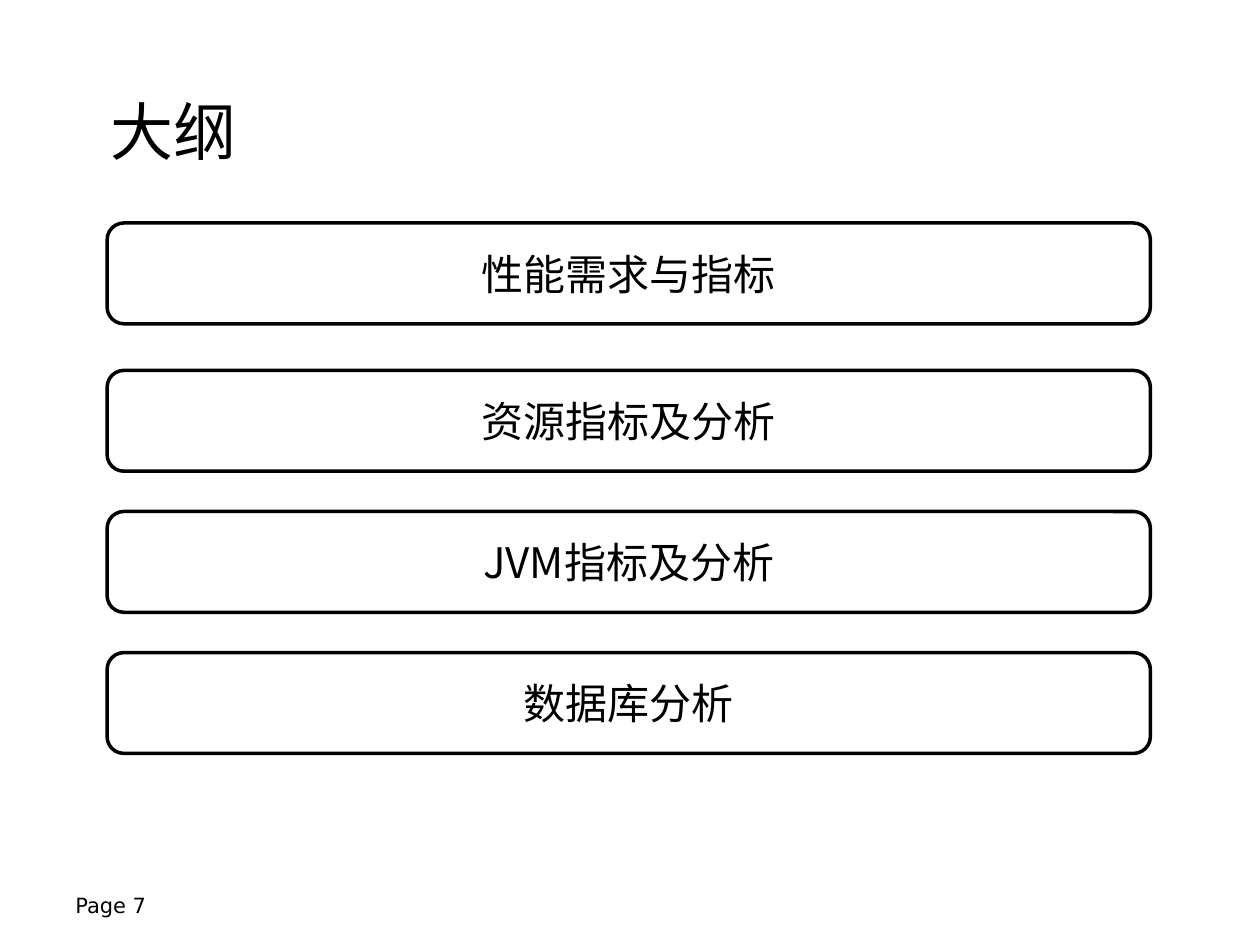
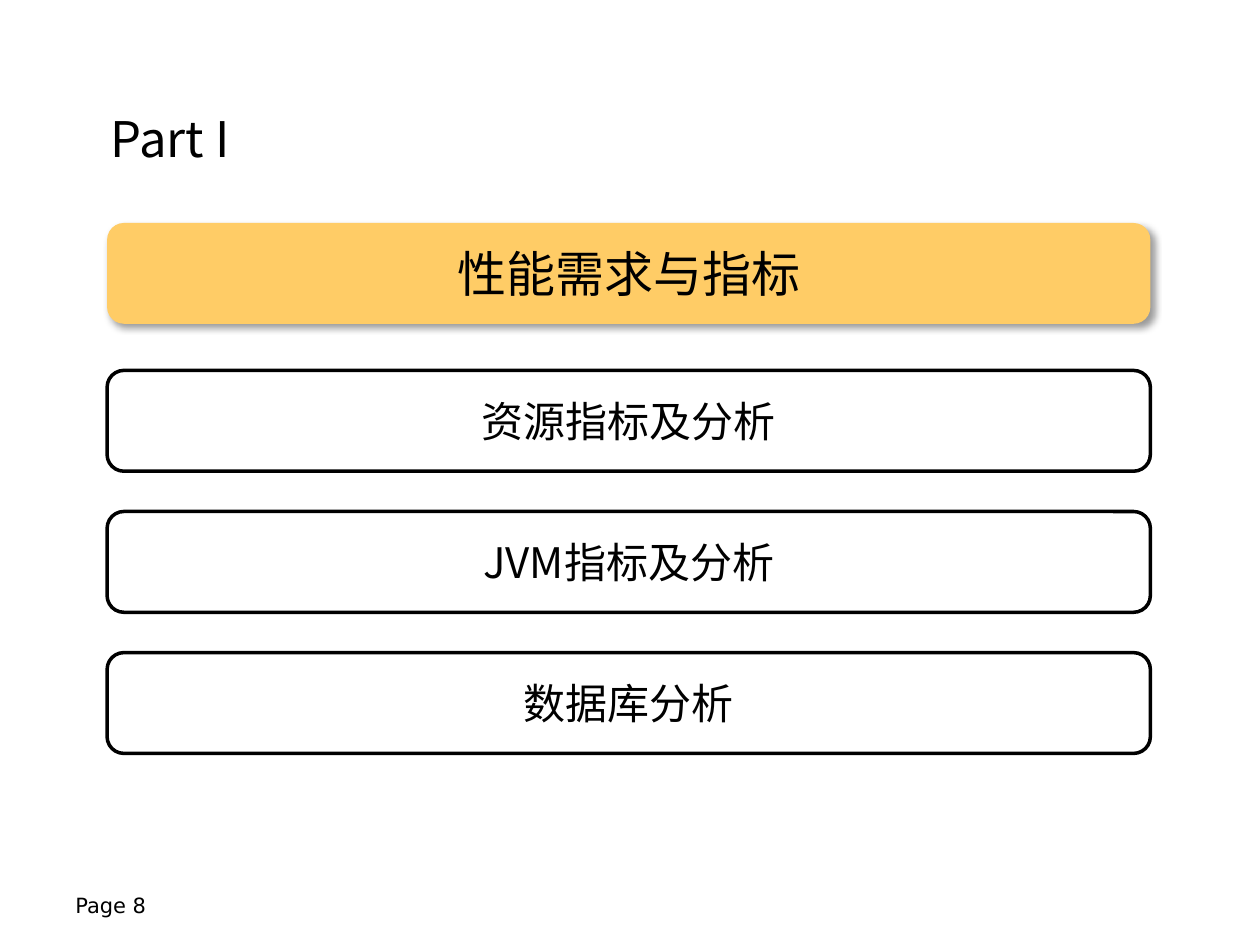
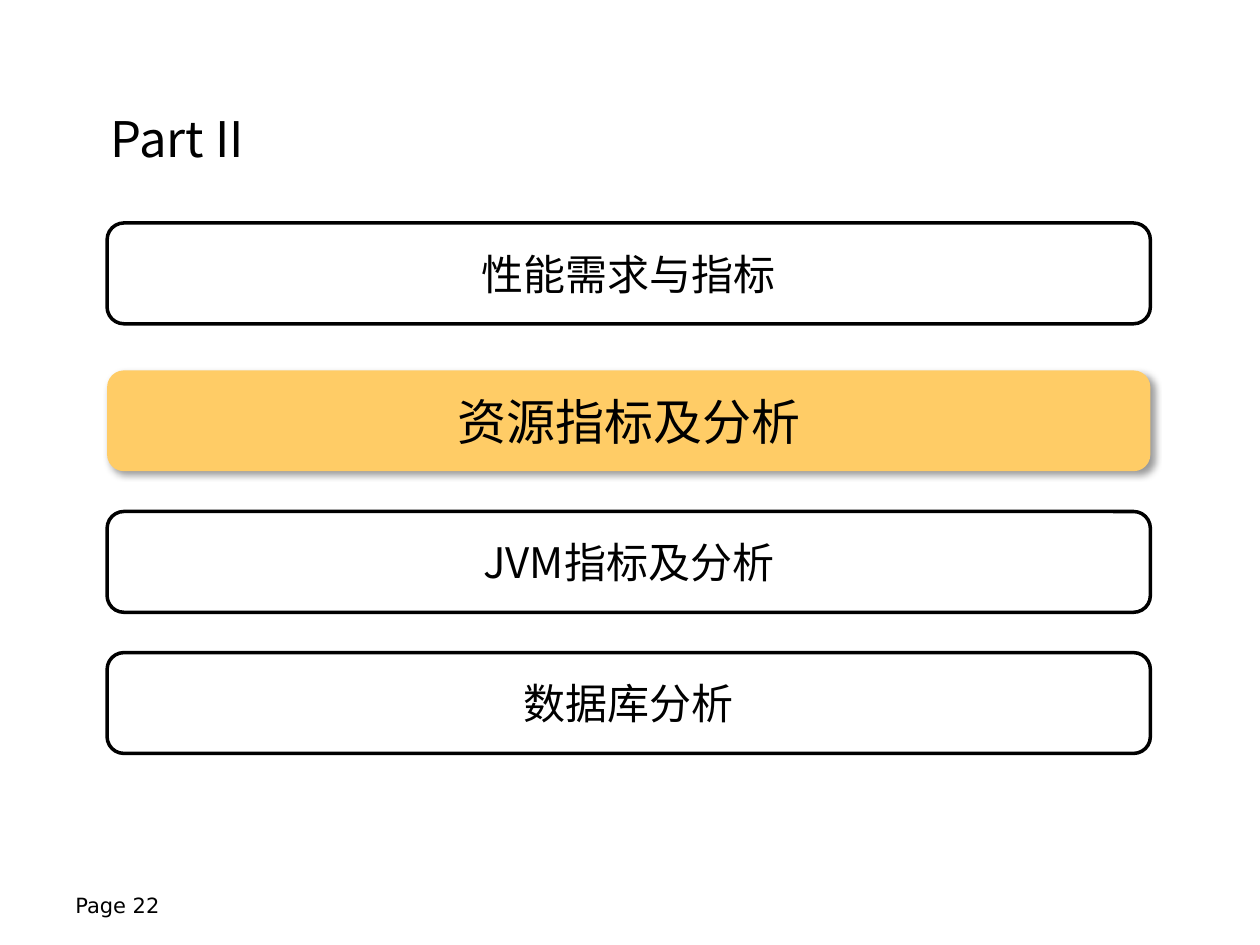
from dataclasses import dataclass

from lxml import etree
from pptx import Presentation
from pptx.dml.color import RGBColor
from pptx.enum.shapes import MSO_SHAPE
from pptx.enum.text import MSO_ANCHOR, PP_ALIGN
from pptx.oxml.ns import qn
from pptx.shapes.autoshape import Shape
from pptx.slide import Slide
from pptx.util import Inches, Pt

ROUND = MSO_SHAPE.ROUNDED_RECTANGLE
BOTTOM, MIDDLE = MSO_ANCHOR.BOTTOM, MSO_ANCHOR.MIDDLE
LEFT, CENTER = PP_ALIGN.LEFT, PP_ALIGN.CENTER

BLACK, WHITE, GOLD = "000000", "FFFFFF", "FFCC66"
HAN, SANS = "Noto Sans CJK SC", "DejaVu Sans"

TOPICS = ("性能需求与指标", "资源指标及分析", "JVM指标及分析", "数据库分析")
TOPS = (1.77, 2.94, 4.06, 5.18)


@dataclass(frozen=True)
class Page:
    title: str
    size: int
    number: int
    active: int | None = None


PAGES = (
    Page("大纲", 36, 7),
    Page("Part I", 28, 8, 0),
    Page("Part II", 28, 22, 1),
)


def color(code: str) -> RGBColor:
    return RGBColor.from_string(code)


def write(shape: Shape, text: str, size: int, font: str,
          anchor: MSO_ANCHOR, align: PP_ALIGN) -> None:
    frame = shape.text_frame
    frame.text = text
    frame.vertical_anchor = anchor
    para = frame.paragraphs[0]
    para.alignment = align
    for run in para.runs:
        run.font.size = Pt(size)
        run.font.name = font
        run.font.color.rgb = color(BLACK)
        etree.SubElement(run._r.get_or_add_rPr(), qn("a:ea"), typeface=font)


def add_label(slide: Slide, box: tuple[float, ...], text: str,
              size: int, font: str) -> None:
    label = slide.shapes.add_textbox(*map(Inches, box))
    label.text_frame.word_wrap = True
    write(label, text, size, font, BOTTOM, LEFT)


def add_shadow(shape: Shape) -> None:
    effects = shape._element.spPr.find(qn("a:effectLst"))
    shadow = etree.SubElement(
        effects, qn("a:outerShdw"), blurRad=str(Pt(4)), dist=str(Pt(3)),
        dir=str(45 * 60000), algn="tl", rotWithShape="0")
    tint = etree.SubElement(shadow, qn("a:srgbClr"), val=BLACK)
    etree.SubElement(tint, qn("a:alpha"), val="40000")


def add_topic(slide: Slide, text: str, top: float, active: bool) -> None:
    bar = slide.shapes.add_shape(
        ROUND, Inches(0.85), Inches(top), Inches(8.28), Inches(0.8))
    bar.shadow.inherit = False
    bar.fill.solid()
    bar.fill.fore_color.rgb = color(GOLD if active else WHITE)
    if active:
        bar.line.fill.background()
        add_shadow(bar)
    else:
        bar.line.color.rgb = color(BLACK)
        bar.line.width = Pt(2)
    bar.text_frame.word_wrap = False
    write(bar, text, 28 if active else 24, HAN, MIDDLE, CENTER)


def add_page(deck: Presentation, page: Page) -> None:
    slide = deck.slides.add_slide(deck.slide_layouts[6])
    add_label(slide, (0.78, 0.13, 8.47, 1.25), page.title, page.size, HAN)
    add_label(slide, (0.5, 6.83, 2.33, 0.5), f"Page {page.number}", 12, SANS)
    for index, (topic, top) in enumerate(zip(TOPICS, TOPS)):
        add_topic(slide, topic, top, index == page.active)


def main() -> None:
    deck = Presentation()
    deck.slide_width, deck.slide_height = Inches(10), Inches(7.5)
    for page in PAGES:
        add_page(deck, page)
    deck.save("out.pptx")


if __name__ == "__main__":
    main()
